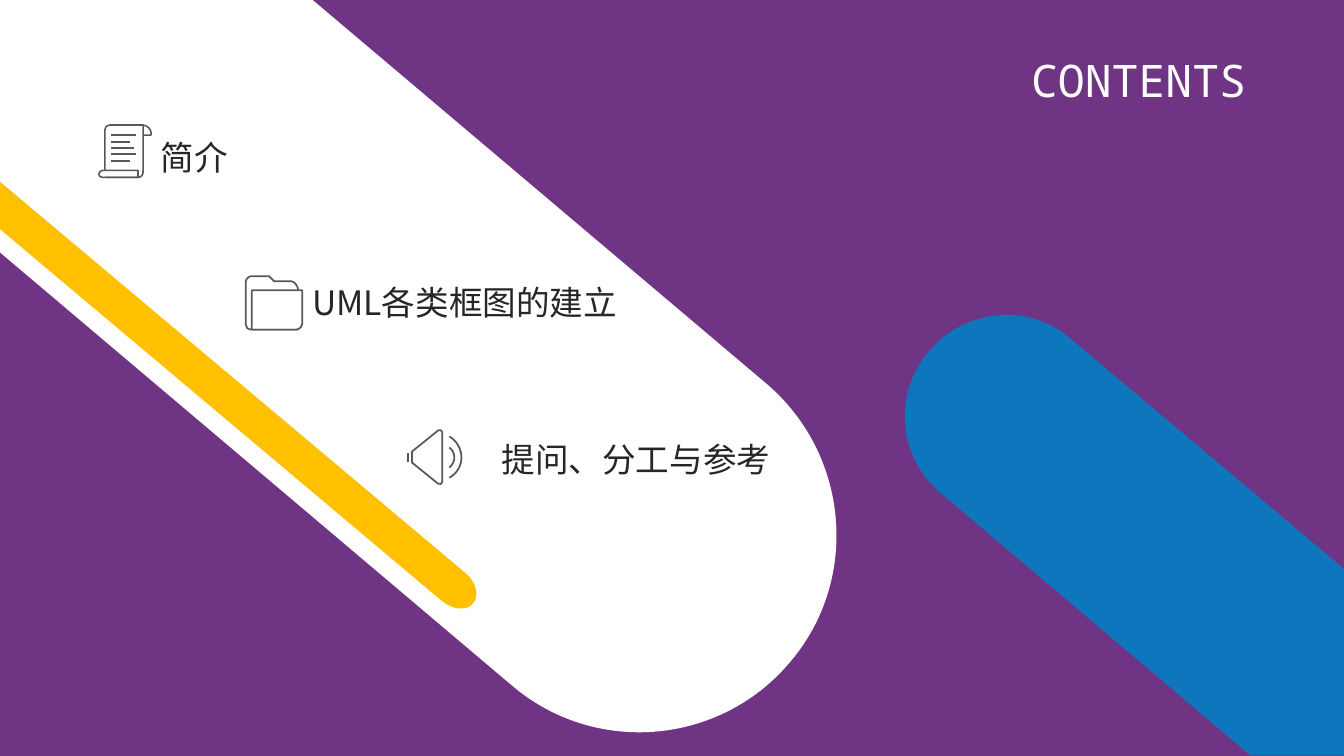
"""Build the contents slide: diagonal bands, a title and three entries with icons."""
import math
from lxml import etree
from pptx import Presentation, util as u
from pptx.dml.color import RGBColor
from pptx.enum import shapes, text
from pptx.oxml.ns import qn

PX = 9144
COLORS = {"purple": "6F3484", "white": "FFFFFF", "yellow": "FFC000",
          "blue": "0E76BC", "icon": "595959", "ink": "262626"}
RGB = {name: RGBColor.from_string(value) for name, value in COLORS.items()}
FRAME = {"word_wrap": True, "auto_size": text.MSO_AUTO_SIZE.SHAPE_TO_FIT_TEXT,
         "vertical_anchor": text.MSO_ANCHOR.TOP, "margin_left": 10 * PX,
         "margin_right": 10 * PX, "margin_top": 5 * PX, "margin_bottom": 5 * PX}


def draw_outline(target, steps, closed, angle=0, center=(0, 0)):
    """Join points (x, y) and cubic curves (x1, y1, x2, y2, x, y) in a turned frame."""
    cos, sin = math.cos(math.radians(angle)), math.sin(math.radians(angle))
    cx, cy = center
    turned = []
    for step in steps:
        offsets = [(x - cx, y - cy) for x, y in zip(step[::2], step[1::2])]
        turned.append([(round((cx + x * cos + y * sin) * PX),
                        round((cy - x * sin + y * cos) * PX)) for x, y in offsets])
    builder = target.build_freeform(*turned[0][-1])
    builder.add_line_segments([points[-1] for points in turned[1:]], close=closed)
    outline = builder.convert_to_shape()
    outline.shadow.inherit = False
    segments = list(outline._element.iter(qn("a:lnTo")))
    for segment, points in zip(segments, turned[1:]):
        if len(points) == 3:
            curve = etree.Element(qn("a:cubicBezTo"))
            for x, y in points:
                etree.SubElement(curve, qn("a:pt"), x=str(x - outline.left),
                                 y=str(y - outline.top))
            segment.getparent().replace(segment, curve)
    outline.rotation = angle
    return outline


def write_text(shape, wording, face, size, color, align):
    """Fill a shape with one formatted line of text."""
    for name, value in FRAME.items():
        setattr(shape.text_frame, name, value)
    line = shape.text_frame.paragraphs[0]
    line.alignment = align
    run = line.add_run()
    run.text = wording
    for name, value in {"name": face, "size": u.Pt(size), "bold": False}.items():
        setattr(run.font, name, value)
    run.font.color.rgb = RGB[color]
    etree.SubElement(run.font._element, qn("a:ea"), typeface=face)


deck = Presentation()
deck.slide_width, deck.slide_height = 1334 * PX, 750 * PX
slide = deck.slides.add_slide(deck.slide_layouts[5])
slide.background.fill.solid()
slide.background.fill.fore_color.rgb = RGB["purple"]

bands = [
    ("white", 40.2, (392, 325.5),
     [(-4, -1), (309, -1), (761, 381), (843, 451, 854, 575, 784, 657),
      (714, 740, 590, 750, 508, 680), (-3, 248)]),
    ("yellow", 40, (229, 396),
     [(-1, 179), (462, 568), (473, 577, 476, 591, 470, 598), (470, 598),
      (464, 606, 450, 605, 439, 596), (-1, 226)]),
    ("blue", 40.2, (1140.5, 533.5),
     [(1000, 313), (1022, 313, 1045, 321, 1063, 337), (1334, 565), (1334, 750),
      (1241, 750), (934, 490), (891, 454, 886, 391, 922, 349), (922, 349),
      (942, 325, 971, 313, 1000, 313)]),
]
for color, angle, center, steps in bands:
    band = draw_outline(slide.shapes, steps, True, angle, center)
    band.fill.solid()
    band.fill.fore_color.rgb = RGB[color]
    band.line.fill.background()

title = slide.shapes.title
title.left, title.top, title.width, title.height = (n * PX for n in (897, 47, 350, 64))
write_text(title, "CONTENTS", "Noto Sans Mono", 32, "white", text.PP_ALIGN.RIGHT)

scroll = [
    (False, [(104, 169), (104, 129), (104, 126, 106, 124, 109, 124), (142, 124),
             (142, 169), (142, 176, 139, 176, 135, 176), (104, 176)]),
    (False, [(141, 124), (146, 124, 150, 128, 150, 132), (150, 134), (142, 134)]),
    (True, [(137, 176), (102, 176), (100, 176, 98, 175, 98, 173),
            (98, 171, 100, 169, 102, 169), (137, 169)]),
]
for y, right in ((134, 135), (141, 129), (147, 133), (153, 135), (160, 129)):
    scroll.append((False, [(110, y), (right, y)]))
folder = [
    (True, [(294, 327), (250, 327), (250, 288), (300, 288), (300, 321),
            (300, 324, 297, 327, 294, 327)]),
    (False, [(296, 327), (249, 327), (246, 327, 244, 325, 244, 322), (244, 279)]),
    (False, [(244, 279), (244, 277, 247, 274, 249, 274), (267, 274), (272, 279),
             (289, 279), (292, 279, 296, 284, 296, 288)]),
]
speaker = [
    (True, [(435, 480), (409, 459), (409, 448), (435, 427),
            (437, 426, 439, 427, 439, 429), (439, 478),
            (439, 480, 437, 481, 435, 480)]),
    (False, [(405, 449), (405, 458)]),
    (False, [(446, 444), (449, 446, 451, 450, 451, 454),
             (451, 458, 449, 461, 446, 464)]),
    (False, [(446, 433), (453, 437, 458, 445, 458, 454),
             (458, 463, 453, 470, 446, 474)]),
]
entries = [
    ("简介", (150, 131, 174, 50), scroll, 1.13),
    ("UML各类框图的建立", (300, 275, 403, 50), folder, 1.25),
    ("提问、分工与参考", (488, 431, 363, 50), speaker, 1.25),
]
for wording, place, icon, weight in entries:
    parts = slide.shapes.add_group_shape().shapes
    for closed, steps in icon:
        if len(steps) == 2:
            ends = [n * PX for point in steps for n in point]
            stroke = parts.add_connector(shapes.MSO_CONNECTOR.STRAIGHT, *ends)
            etree.SubElement(stroke._element.spPr, qn("a:effectLst"))
        else:
            stroke = draw_outline(parts, steps, closed)
            stroke.fill.background()
        stroke.line.color.rgb = RGB["icon"]
        stroke.line.width = u.Pt(weight)

for wording, place, icon, weight in entries:
    label = slide.shapes.add_textbox(*(n * PX for n in place))
    write_text(label, wording, "Noto Sans CJK SC", 24, "ink", text.PP_ALIGN.LEFT)

deck.save("out.pptx")
